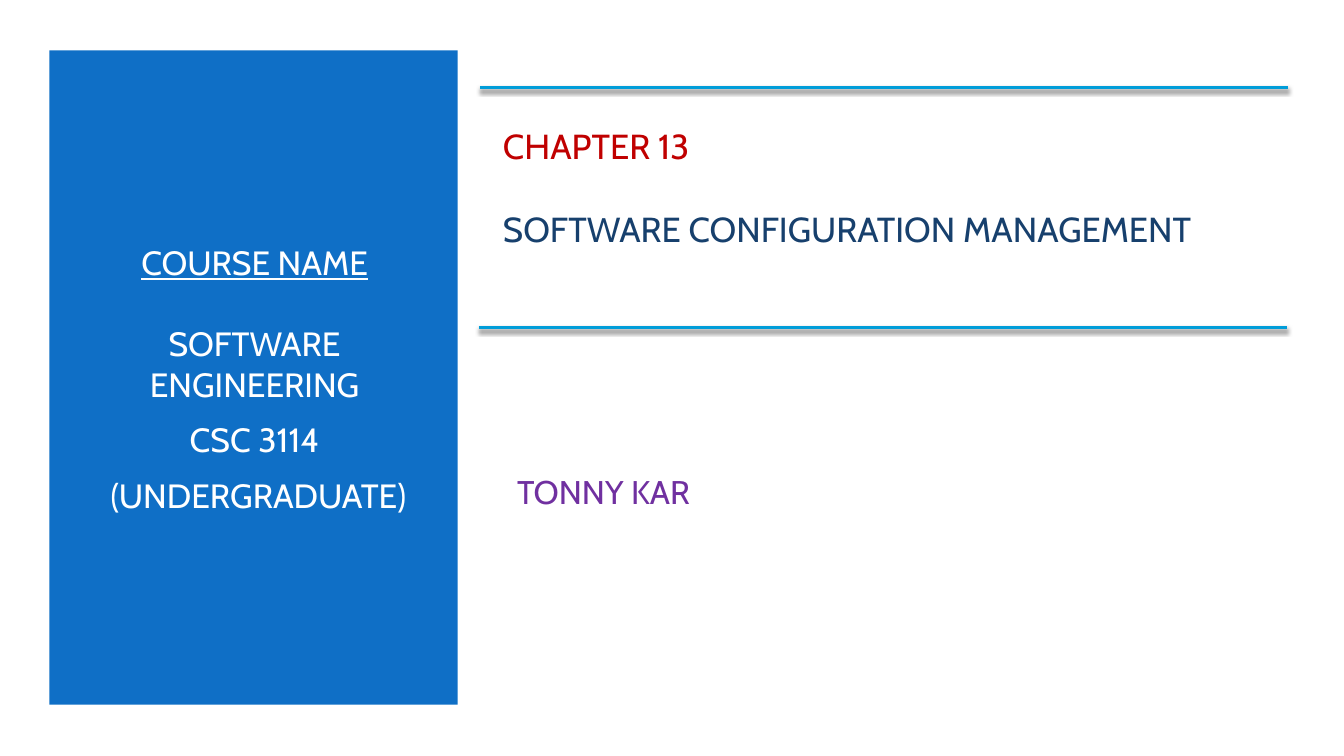
from lxml import etree
from pptx import Presentation
from pptx import util as u
from pptx.dml import color
from pptx.enum import shapes, text
from pptx.oxml import ns


def rgb(value):
    return color.RGBColor.from_string(value)


def add_text(box, lines, size, alignment):
    left, top, width, height = map(u.Inches, box)
    frame = slide.shapes.add_textbox(left, top, width, height).text_frame
    frame.word_wrap = True
    frame.vertical_anchor = text.MSO_ANCHOR.MIDDLE
    for index, (wording, fill, space_before, underline) in enumerate(lines):
        paragraph = frame.add_paragraph() if index else frame.paragraphs[0]
        paragraph.text = wording
        paragraph.alignment = alignment
        paragraph.space_before = u.Pt(space_before)
        paragraph.font.name = "Cabin"
        paragraph.font.size = u.Pt(size)
        paragraph.font.color.rgb = rgb(fill)
        paragraph.font.underline = underline


presentation = Presentation()
presentation.slide_width = u.Inches(13.33)
presentation.slide_height = u.Inches(7.5)
slide = presentation.slides.add_slide(presentation.slide_layouts[6])

panel = slide.shapes.add_shape(
    shapes.MSO_SHAPE.RECTANGLE,
    u.Inches(0.49), u.Inches(0.5), u.Inches(4.05), u.Inches(6.49))
panel.shadow.inherit = False
panel.fill.solid()
panel.fill.fore_color.rgb = rgb("0F6FC6")
panel.line.fill.background()

course_lines = [
    ("COURSE NAME", "FFFFFF", 0, True),
    ("SOFTWARE ENGINEERING", "FFFFFF", 29, False),
    ("CSC 3114", "FFFFFF", 10.8, False),
    (" (UNDERGRADUATE)", "FFFFFF", 10.8, False),
]
chapter_lines = [
    ("CHAPTER 13", "C00000", 0, False),
    ("SOFTWARE CONFIGURATION MANAGEMENT", "17406D", 30, False),
]
author_lines = [("TONNY KAR", "7030A0", 0, False)]

add_text((0.84, 1.13, 3.37, 5.25), course_lines, 24, text.PP_ALIGN.CENTER)
add_text((4.89, 1.1, 7.85, 1.51), chapter_lines, 24.8, text.PP_ALIGN.LEFT)
add_text((5.03, 4.1, 6.66, 1.56), author_lines, 23.4, text.PP_ALIGN.LEFT)

for left, top in ((4.76, 0.87), (4.75, 3.25)):
    rule = slide.shapes.add_connector(
        shapes.MSO_CONNECTOR.STRAIGHT,
        u.Inches(left), u.Inches(top), u.Inches(left + 8.01), u.Inches(top))
    rule.line.color.rgb = rgb("009DD9")
    rule.line.width = u.Pt(2)
    effects = etree.SubElement(rule._element.spPr, ns.qn("a:effectLst"))
    shadow = etree.SubElement(
        effects, ns.qn("a:outerShdw"), blurRad=str(u.Pt(3)),
        dist=str(u.Pt(2)), dir="5400000", rotWithShape="0")
    shade = etree.SubElement(shadow, ns.qn("a:srgbClr"), val="000000")
    etree.SubElement(shade, ns.qn("a:alpha"), val="55000")

presentation.save("out.pptx")
